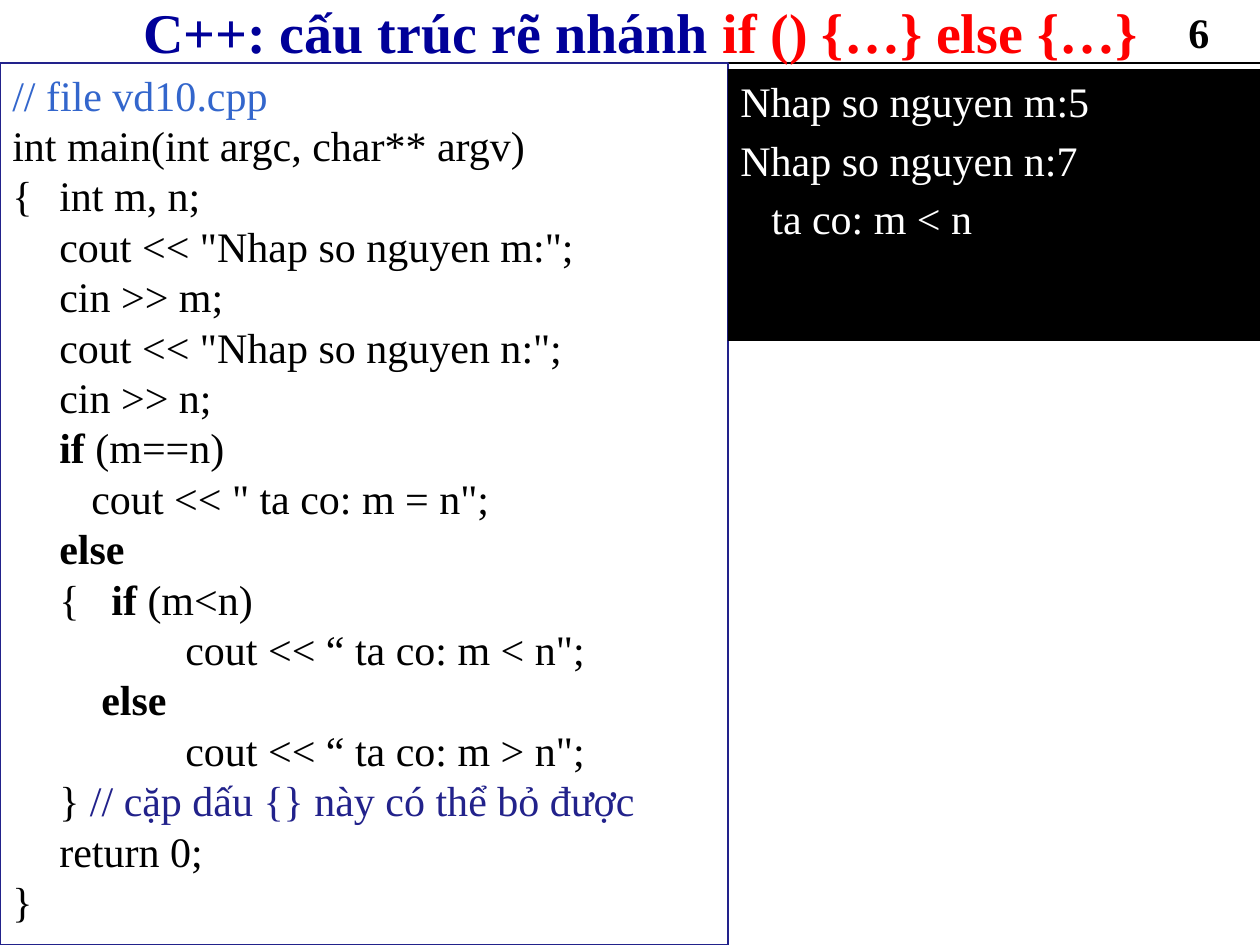
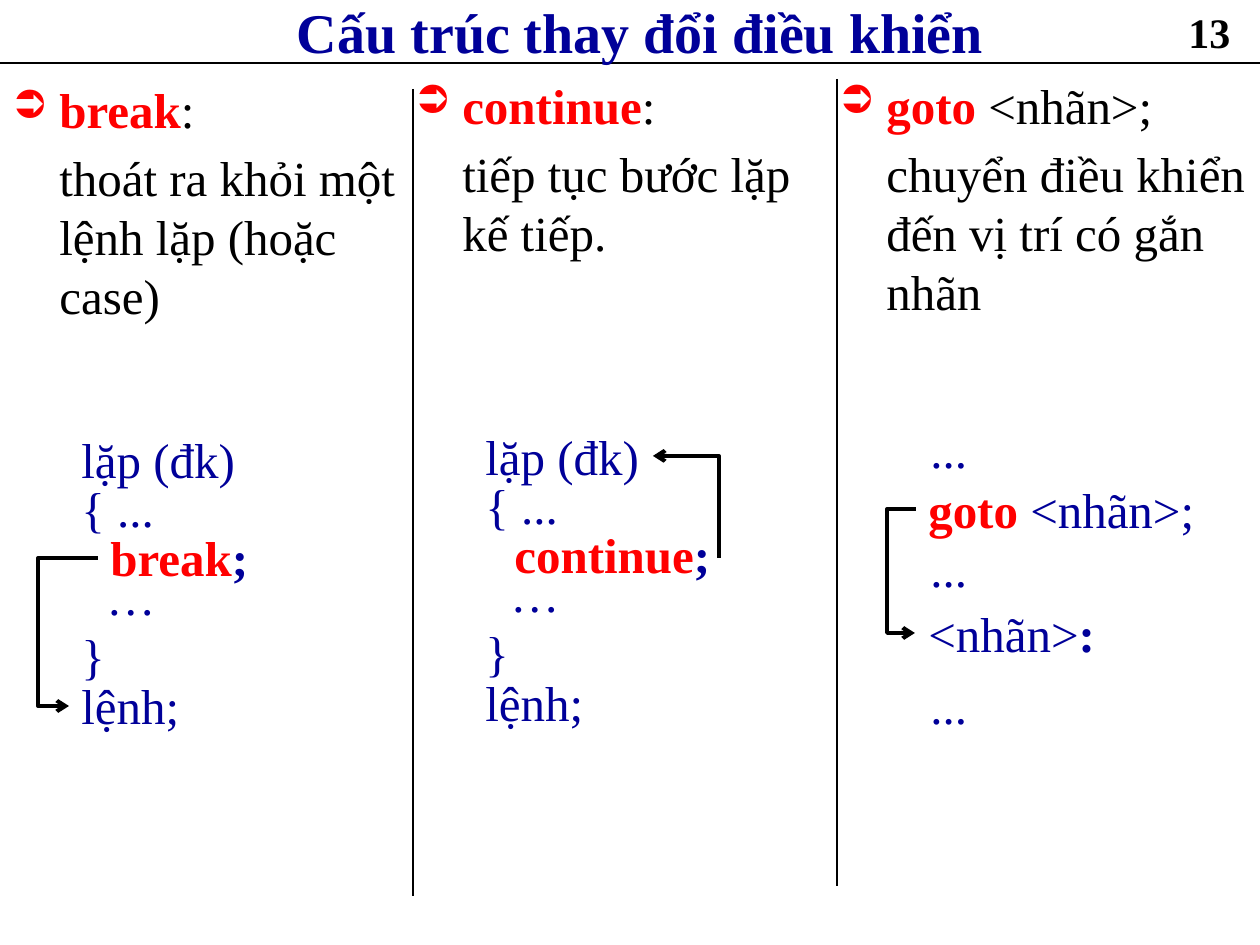
from dataclasses import dataclass
from typing import NamedTuple

from lxml.etree import SubElement
from pptx import Presentation
from pptx.dml.color import RGBColor
from pptx.enum.shapes import MSO_CONNECTOR as Link, MSO_SHAPE as Preset
from pptx.enum.text import MSO_ANCHOR as Anchor, PP_ALIGN as Align
from pptx.oxml.ns import qn
from pptx.util import Emu, Pt

EMU_PER_PX = 914400 / 126
SLIDE_W, SLIDE_H = 1260, 945
HEADER_H = 63
FONT = "Times New Roman"
COLORS = {
    "black": "000000",
    "white": "FFFFFF",
    "navy": "000099",
    "red": "FF0000",
    "comment": "3366CC",
    "indigo": "22228B",
}
TAB = 47


class Run(NamedTuple):
    text: str
    color: str = "black"
    bold: bool = False


class Box(NamedTuple):
    x: int
    y: int
    w: int
    h: int


@dataclass(frozen=True)
class Line:
    """A paragraph; margin is where its text starts, hang how far its first word sticks out."""
    runs: tuple[Run, ...]
    margin: int = 0
    hang: int = 0
    bullet: str = ""


@dataclass(frozen=True)
class Column:
    box: Box
    keyword: str
    suffix: str
    meaning: str


@dataclass(frozen=True)
class Jump:
    """An elbow arrow that runs through a vertical leg at turn_x."""
    start: tuple[int, int]
    end: tuple[int, int]
    turn_x: int


def code(text: str, margin: int = TAB, hang: int = 0) -> Line:
    return Line((Run(text),), margin, hang)


CODE_LINES = (
    Line((Run("// file vd10.cpp", "comment"),)),
    code("int main(int argc, char** argv)", 0),
    code("{\tint m, n;", TAB, TAB),
    code('cout << "Nhap so nguyen m:";'),
    code("cin >> m;"),
    code('cout << "Nhap so nguyen n:";'),
    code("cin >> n;"),
    Line((Run("if", bold=True), Run(" (m==n)")), TAB),
    code('cout << " ta co: m = n";', 79),
    Line((Run("else", bold=True),), TAB),
    Line((Run("{\t"), Run("if ", bold=True), Run("(m<n)")), 99, 52),
    code('cout << “ ta co: m < n";', 173),
    Line((Run("else", bold=True),), 89),
    code('cout << “ ta co: m > n";', 173),
    Line((Run("} "), Run("// cặp dấu {} này có thể bỏ được", "indigo")), TAB),
    code("return 0;"),
    code("}", 0),
)
CONSOLE_LINES = (
    Line((Run("Nhap so nguyen m:5", "white"),)),
    Line((Run("Nhap so nguyen n:7", "white"),)),
    Line((Run("ta co: m < n", "white"),), 31),
)
COLUMNS = (
    Column(Box(0, 73, 423, 281), "break", ":", "thoát ra khỏi một lệnh lặp (hoặc case)"),
    Column(Box(403, 69, 403, 286), "continue", ":", "tiếp tục bước lặp kế tiếp."),
    Column(Box(827, 69, 433, 276), "goto", " <nhãn>;", "chuyển điều khiển đến vị trí có gắn nhãn"),
)
JUMPS = (
    Jump((98, 558), (69, 706), 38),
    Jump((719, 558), (653, 456), 719),
    Jump((916, 509), (915, 633), 887),
)
DIVIDERS = ((413, 89), (837, 79))
DIVIDER_H = 807
LABEL_H = 72


def px(length: int) -> Emu:
    return Emu(round(length * EMU_PER_PX))


def rgb(name: str) -> RGBColor:
    return RGBColor.from_string(COLORS[name])


def write(shape, lines: tuple[Line, ...], size: int, before: float = 0,
          align=Align.LEFT, anchor=Anchor.TOP) -> None:
    frame = shape.text_frame
    frame.word_wrap = True
    frame.vertical_anchor = anchor
    for index, line in enumerate(lines):
        paragraph = frame.add_paragraph() if index else frame.paragraphs[0]
        paragraph.alignment = align
        paragraph.space_before = Pt(before)
        properties = paragraph._p.get_or_add_pPr()
        properties.set("marL", str(px(line.margin)))
        properties.set("indent", str(px(-line.hang)))
        if line.bullet:
            SubElement(properties, qn("a:buSzPct"), val="80000")
            SubElement(properties, qn("a:buChar"), char=line.bullet)
        for part in line.runs:
            run = paragraph.add_run()
            run.text = part.text
            run.font.name = FONT
            run.font.size = Pt(size)
            run.font.bold = part.bold
            run.font.color.rgb = rgb(part.color)


def add_text(slide, box: Box, lines: tuple[Line, ...], size: int, **style) -> None:
    write(slide.shapes.add_textbox(*map(px, box)), lines, size, **style)


def add_panel(slide, box: Box, lines: tuple[Line, ...], fill: str = "",
              outline: str = "", before: float = 0) -> None:
    panel = slide.shapes.add_shape(Preset.RECTANGLE, *map(px, box))
    panel.shadow.inherit = False
    if fill:
        panel.fill.solid()
        panel.fill.fore_color.rgb = rgb(fill)
    else:
        panel.fill.background()
    if outline:
        panel.line.color.rgb = rgb(outline)
        panel.line.width = Pt(0.75)
    else:
        panel.line.fill.background()
    write(panel, lines, 24, before)


def add_line(slide, start: tuple[int, int], end: tuple[int, int],
             width: float = 0.75, kind=Link.STRAIGHT):
    line = slide.shapes.add_connector(kind, *map(px, start + end))
    line.line.color.rgb = rgb("black")
    line.line.width = Pt(width)
    SubElement(line._element.spPr, qn("a:effectLst"))
    return line


def add_jump(slide, jump: Jump) -> None:
    arrow = add_line(slide, jump.start, jump.end, 2.25, Link.ELBOW)
    properties = arrow._element.spPr
    SubElement(properties.find(qn("a:ln")), qn("a:tailEnd"), type="arrow")
    ratio = (jump.start[0] - jump.turn_x) / (jump.start[0] - jump.end[0])
    guides = properties.find(qn("a:prstGeom")).find(qn("a:avLst"))
    SubElement(guides, qn("a:gd"), name="adj1", fmla=f"val {round(ratio * 100000)}")


def add_label(slide, x: int, y: int, w: int, *runs: Run) -> None:
    add_text(slide, Box(x, y, w, LABEL_H), (Line(runs),), 28)


def add_loop(slide, x: int, y: int, keyword: str) -> None:
    """Sketch a loop whose body holds the keyword, with its top left corner at x, y."""
    add_label(slide, x, y, 180, Run("lặp (đk)", "navy"))
    add_label(slide, x, y + 49, 197, Run("{ ...", "navy"))
    add_label(slide, x + 29, y + 98, 230, Run(keyword, "red", True), Run(";", "navy", True))
    body_end = (Line((Run("…", "navy"),), 25), Line((Run("}", "navy"),)))
    add_text(slide, Box(x, y + 137, 178, 131), body_end, 28)
    add_label(slide, x, y + 246, 125, Run("lệnh;", "navy"))


def add_goto(slide) -> None:
    for y in (413, 532, 669):
        add_label(slide, 918, y, 185, Run("...", "navy"))
    add_label(slide, 916, 473, 300, Run("goto ", "red", True), Run("<nhãn>;", "navy"))
    add_label(slide, 916, 597, 217, Run("<nhãn>", "navy"), Run(":", "navy", True))


def add_column(slide, column: Column) -> None:
    heading = (Run(column.keyword, "red", True), Run(column.suffix))
    lines = (Line(heading, TAB, TAB, "➲"), Line((Run(column.meaning),), TAB))
    add_text(slide, column.box, lines, 28, before=5.6)


def new_slide(deck, number: int, *title: Run):
    slide = deck.slides.add_slide(deck.slide_layouts[6])
    add_line(slide, (0, HEADER_H), (SLIDE_W, HEADER_H))
    add_text(slide, Box(105, 0, 1071, HEADER_H), (Line(title),), 32,
             align=Align.CENTER, anchor=Anchor.MIDDLE)
    add_text(slide, Box(1176, 0, 84, HEADER_H), (Line((Run(str(number), bold=True),)),), 24)
    return slide


def build_branching(deck) -> None:
    slide = new_slide(deck, 6, Run("C++: cấu trúc rẽ nhánh ", "navy", True),
                      Run("if () {…} else {…}", "red", True))
    add_panel(slide, Box(0, HEADER_H, 728, 882), CODE_LINES, outline="indigo")
    add_panel(slide, Box(728, 69, 532, 272), CONSOLE_LINES, fill="black", before=4.8)


def build_jumps(deck) -> None:
    slide = new_slide(deck, 13, Run("Cấu trúc thay đổi điều khiển", "navy", True))
    for column in COLUMNS:
        add_column(slide, column)
    for x, top in DIVIDERS:
        add_line(slide, (x, top), (x, top + DIVIDER_H))
    add_loop(slide, 69, 423, "break")
    add_loop(slide, 473, 420, "continue")
    add_goto(slide)
    for jump in JUMPS:
        add_jump(slide, jump)


def main() -> None:
    deck = Presentation()
    deck.slide_width, deck.slide_height = px(SLIDE_W), px(SLIDE_H)
    build_branching(deck)
    build_jumps(deck)
    deck.save("out.pptx")


if __name__ == "__main__":
    main()
